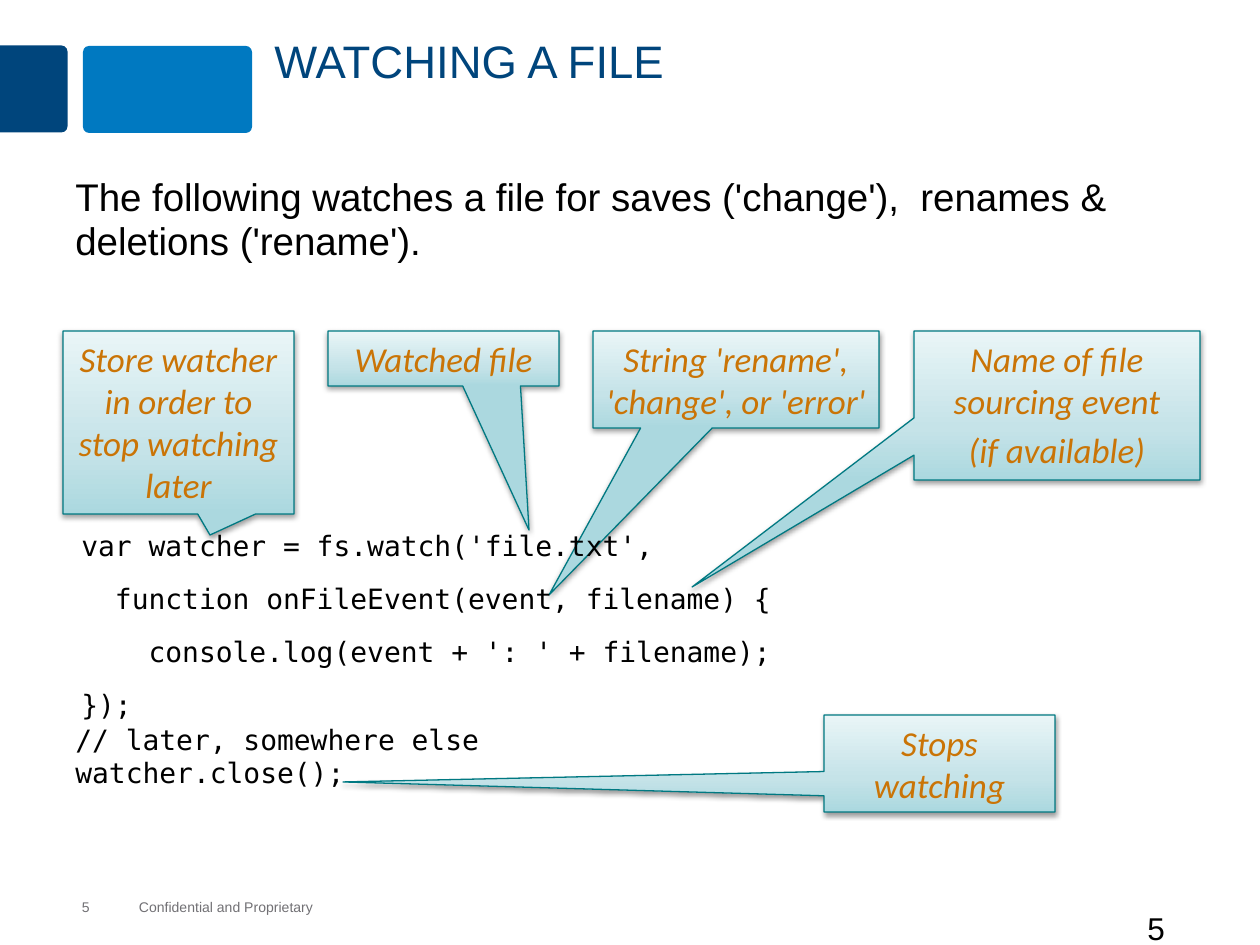
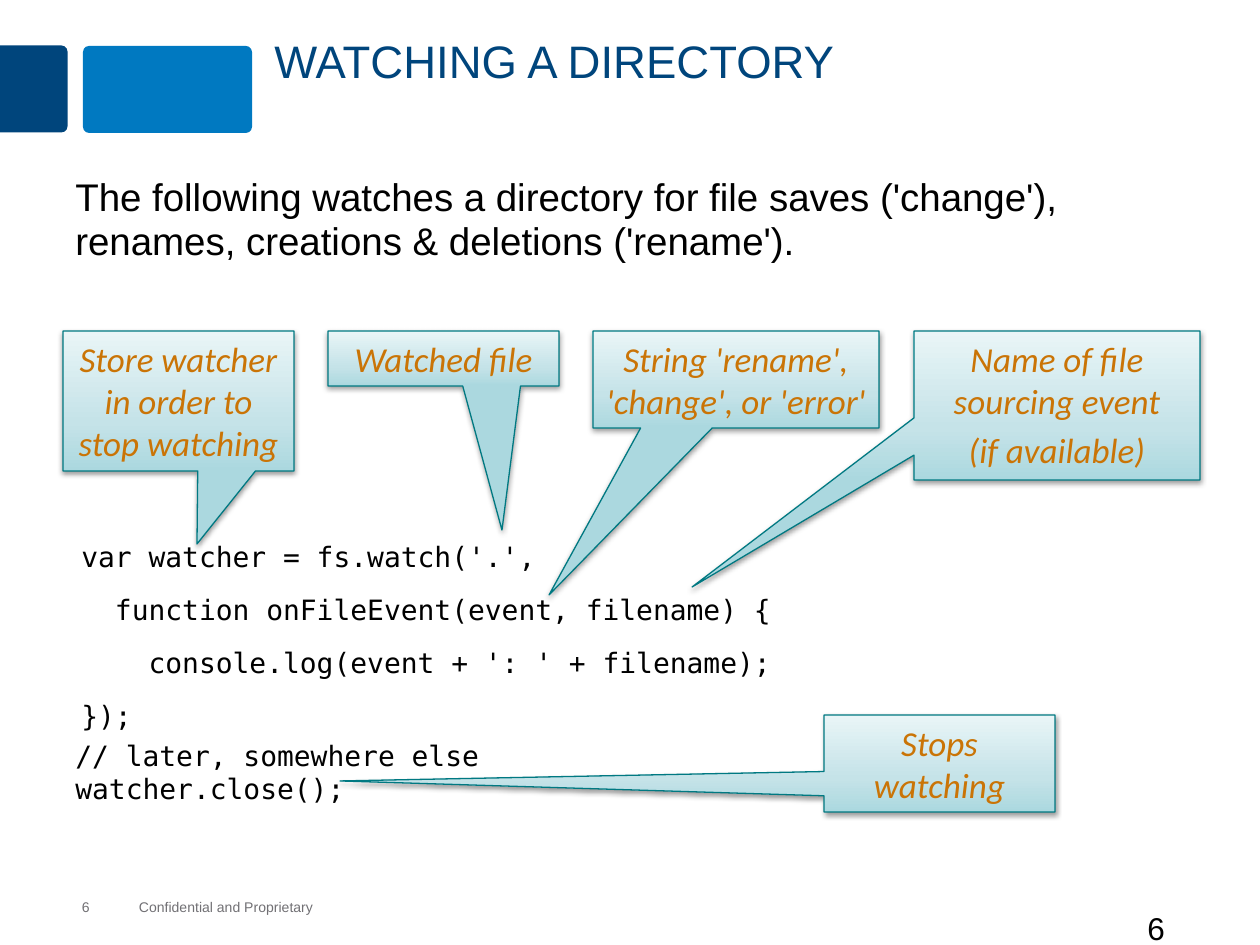
from pptx import Presentation
from pptx.dml.color import RGBColor
from pptx.enum.shapes import MSO_SHAPE
from pptx.enum.text import MSO_ANCHOR, MSO_AUTO_SIZE, PP_ALIGN
from pptx.oxml import parse_xml
from pptx.oxml.ns import nsdecls, qn
from pptx.util import Emu, Pt

PX = 914400 / 126
COLORS = {
    "navy": "00457C", "blue": "0079C1", "grey": "717074", "black": "000000",
    "teal": "007982", "orange": "CA7406",
    "aqua": "ABD8DF", "aqua_mid": "C5E3E8", "aqua_light": "E9F5F7",
}
CALLOUT_FILL = (
    f'<a:gradFill {nsdecls("a")} rotWithShape="1"><a:gsLst>'
    + "".join(f'<a:gs pos="{pos}"><a:srgbClr val="{COLORS[name]}"/></a:gs>'
              for pos, name in [(0, "aqua"), (35000, "aqua_mid"), (100000, "aqua_light")])
    + '</a:gsLst><a:lin ang="16200000" scaled="0"/></a:gradFill>'
)
CALLOUT_SHADOW = (
    f'<a:outerShdw {nsdecls("a")} blurRad="40000" dist="20000" dir="5400000" rotWithShape="0">'
    f'<a:srgbClr val="{COLORS["black"]}"><a:alpha val="38000"/></a:srgbClr></a:outerShdw>'
)


def write(frame, lines, font, size, color, before=0, spacing=None, align=None, italic=None):
    for i, line in enumerate(lines):
        paragraph = frame.paragraphs[0] if i == 0 else frame.add_paragraph()
        paragraph.alignment = align
        paragraph.line_spacing = spacing
        if i and before:
            paragraph.space_before = Pt(before)
        run = paragraph.add_run()
        run.text = line
        run.font.name, run.font.size, run.font.italic = font, Pt(size), italic
        run.font.color.rgb = RGBColor.from_string(COLORS[color])


def add_callout(slide, box, tip, lines):
    """Place a callout whose pointer ends at tip."""
    left, top, width, height = box
    callout = slide.shapes.add_shape(MSO_SHAPE.RECTANGULAR_CALLOUT, *[Emu(round(v * PX)) for v in box])
    callout.adjustments[0] = (tip[0] - left) / width - 0.5
    callout.adjustments[1] = (tip[1] - top) / height - 0.5
    callout.fill.background()
    properties = callout.element.spPr
    properties.replace(properties.find(qn("a:noFill")), parse_xml(CALLOUT_FILL))
    callout.line.color.rgb = RGBColor.from_string(COLORS["teal"])
    callout.line.width = Pt(0.75)
    callout.shadow.inherit = False
    properties.find(qn("a:effectLst")).append(parse_xml(CALLOUT_SHADOW))
    frame = callout.text_frame
    frame.word_wrap = True
    frame.auto_size = MSO_AUTO_SIZE.SHAPE_TO_FIT_TEXT
    frame.vertical_anchor = MSO_ANCHOR.TOP
    write(frame, lines, "Calibri", 20, "orange", before=4, align=PP_ALIGN.CENTER, italic=True)


# What differs between the two slides
topics = [
    {
        "number": "5", "title": "WATCHING A FILE",
        "intro": "The following watches a file for saves ('change'),  renames & deletions ('rename').",
        "target": "file.txt", "code_top": 525, "close_top": 716,
        "store": "Store watcher in order to stop watching later", "store_height": 183,
        "store_tip": (210, 535), "watched_tip": (529, 530), "stops_tip": (343, 782),
    },
    {
        "number": "6", "title": "WATCHING A DIRECTORY",
        "intro": "The following watches a directory for file saves ('change'), "
                 "renames, creations & deletions ('rename').",
        "target": ".", "code_top": 536, "close_top": 732,
        "store": "Store watcher in order to stop watching", "store_height": 140,
        "store_tip": (197, 544), "watched_tip": (502, 530), "stops_tip": (340, 781),
    },
]
CALLOUT_TOP = 331

prs = Presentation()
prs.slide_width, prs.slide_height = Emu(round(1260 * PX)), Emu(round(945 * PX))

for topic in topics:
    slide = prs.slides.add_slide(prs.slide_layouts[6])

    # Title band
    for kind, box, corners, turn, color in [
        (MSO_SHAPE.ROUND_2_SAME_RECTANGLE, (-10, 55, 87, 68), (0.09, 0), 90, "navy"),
        (MSO_SHAPE.ROUNDED_RECTANGLE, (83, 46, 169, 87), (0.07,), 0, "blue"),
    ]:
        band = slide.shapes.add_shape(kind, *[Emu(round(v * PX)) for v in box])
        for i, corner in enumerate(corners):
            band.adjustments[i] = corner
        band.rotation = turn
        band.fill.solid()
        band.fill.fore_color.rgb = RGBColor.from_string(COLORS[color])
        band.line.fill.background()
        band.shadow.inherit = False

    # Footer
    for text, box, wraps in [
        ("Confidential and Proprietary", (139, 899, 176, 16), False),
        (topic["number"], (82, 899, 79, 16), True),
    ]:
        frame = slide.shapes.add_textbox(*[Emu(round(v * PX)) for v in box]).text_frame
        frame.margin_left = frame.margin_top = frame.margin_right = frame.margin_bottom = 0
        frame.vertical_anchor = MSO_ANCHOR.MIDDLE
        frame.word_wrap = wraps
        frame.auto_size = MSO_AUTO_SIZE.SHAPE_TO_FIT_TEXT
        write(frame, [text], "Arial", 8, "grey")

    # Callouts behind the code
    add_callout(slide, (63, CALLOUT_TOP, 231, topic["store_height"]), topic["store_tip"], [topic["store"]])
    add_callout(slide, (593, CALLOUT_TOP, 286, 97), (549, 595), ["String 'rename', 'change', or 'error'"])

    # Code that stops the watcher
    closing = slide.shapes.add_textbox(
        *[Emu(round(v * PX)) for v in (63, topic["close_top"], 435, 87)]).text_frame
    closing.word_wrap = False
    closing.auto_size = MSO_AUTO_SIZE.SHAPE_TO_FIT_TEXT
    write(closing, ["// later, somewhere else", "watcher.close();"], "DejaVu Sans Mono", 16, "black")

    # Watcher code, title, page number and introduction
    watcher_code = [
        f"var watcher = fs.watch('{topic['target']}',",
        "  function onFileEvent(event, filename) {",
        "    console.log(event + ': ' + filename);",
        "});",
    ]
    for lines, box, font, size, color, spacing in [
        (watcher_code, (69, topic["code_top"], 1118, 851 - topic["code_top"]),
         "DejaVu Sans Mono", 16, "black", 0.95),
        ([topic["title"]], (262, 31, 966, 115), "Arial", 26, "navy", 0.95),
        ([topic["number"]], (1135, 903, 125, 63), "Arial", 18, "black", None),
        ([topic["intro"]], (63, 170, 1137, 113), "Arial", 22, "black", 0.95),
    ]:
        frame = slide.shapes.add_textbox(*[Emu(round(v * PX)) for v in box]).text_frame
        frame.word_wrap = True
        write(frame, lines, font, size, color, before=12, spacing=spacing)

    # Callouts in front of the code
    add_callout(slide, (328, CALLOUT_TOP, 231, 55), topic["watched_tip"], ["Watched file"])
    add_callout(slide, (914, CALLOUT_TOP, 286, 149), (692, 587),
                ["Name of file sourcing event", "(if available)"])
    add_callout(slide, (824, 715, 231, 97), topic["stops_tip"], ["Stops watching"])

prs.save("out.pptx")
